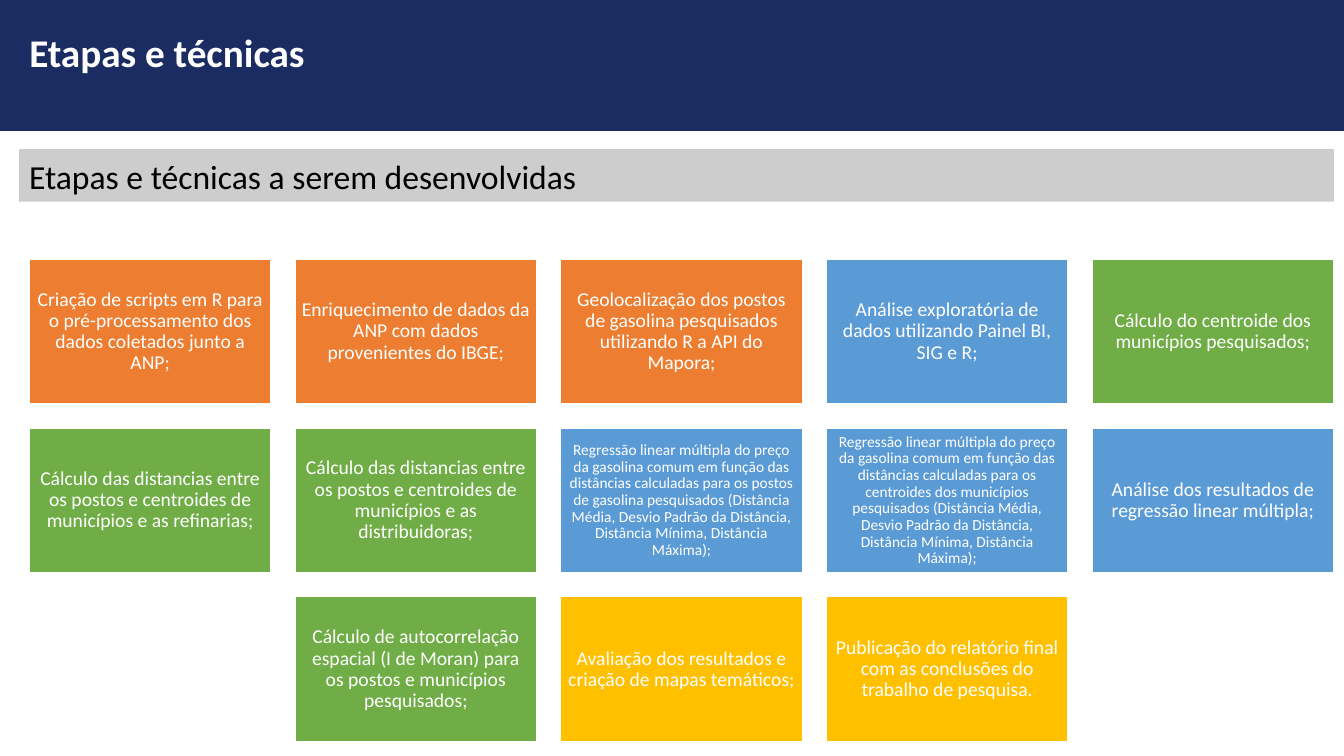
from pptx import Presentation
from pptx.dml.color import RGBColor
from pptx.enum.shapes import MSO_SHAPE
from pptx.enum.text import MSO_ANCHOR, PP_ALIGN
from pptx.util import Inches, Pt

RECT = MSO_SHAPE.RECTANGLE
TOP, MIDDLE = MSO_ANCHOR.TOP, MSO_ANCHOR.MIDDLE
LEFT, CENTER = PP_ALIGN.LEFT, PP_ALIGN.CENTER

NAVY = RGBColor(0x1B, 0x2C, 0x62)
GRAY = RGBColor(0xCD, 0xCD, 0xCD)
WHITE = RGBColor(0xFF, 0xFF, 0xFF)
BLACK = RGBColor(0x00, 0x00, 0x00)
ORANGE = RGBColor(0xED, 0x7D, 0x31)
BLUE = RGBColor(0x5B, 0x9B, 0xD5)
GREEN = RGBColor(0x70, 0xAD, 0x47)
GOLD = RGBColor(0xFF, 0xC0, 0x00)

FONT = "Calibri"
TITLE = "Etapas e técnicas"
SUBTITLE = "Etapas e técnicas a serem desenvolvidas"
STEPS = [
    ("Criação de scripts em R para o pré-processamento dos dados coletados junto a ANP;", ORANGE, 14),
    ("Enriquecimento de dados da ANP com dados provenientes do IBGE;", ORANGE, 14),
    ("Geolocalização dos postos de gasolina pesquisados utilizando R a API do Mapora;", ORANGE, 14),
    ("Análise exploratória de dados utilizando Painel BI, SIG e R;", BLUE, 14),
    ("Cálculo do centroide dos municípios pesquisados;", GREEN, 14),
    ("Cálculo das distancias entre os postos e centroides de municípios e as refinarias;", GREEN, 14),
    ("Cálculo das distancias entre os postos e centroides de municípios e as distribuidoras;", GREEN, 14),
    ("Regressão linear múltipla do preço da gasolina comum em função das distâncias calculadas "
     "para os postos de gasolina pesquisados (Distância Média, Desvio Padrão da Distância, "
     "Distância Mínima, Distância Máxima);", BLUE, 11),
    ("Regressão linear múltipla do preço da gasolina comum em função das distâncias calculadas "
     "para os centroides dos municípios pesquisados (Distância Média, Desvio Padrão da Distância, "
     "Distância Mínima, Distância Máxima);", BLUE, 11),
    ("Análise dos resultados de regressão linear múltipla;", BLUE, 14),
    ("Cálculo de autocorrelação espacial (I de Moran) para os postos e municípios pesquisados;", GREEN, 14),
    ("Avaliação dos resultados e criação de mapas temáticos;", GOLD, 14),
    ("Publicação do relatório final com as conclusões do trabalho de pesquisa.", GOLD, 14),
]

COLS = 5
GRID_LEFT, GRID_TOP, GRID_W = 0.29, 2.57, 12.94
BOX_W, BOX_H = 2.4, 1.44
GAP = (GRID_W - COLS * BOX_W) / (COLS - 1)


def add_rect(slide, x, y, w, h, fill):
    sp = slide.shapes.add_shape(RECT, Inches(x), Inches(y), Inches(w), Inches(h))
    sp.shadow.inherit = False
    sp.fill.solid()
    sp.fill.fore_color.rgb = fill
    sp.line.fill.background()
    return sp


def write(sp, text, size, color, align=LEFT, anchor=TOP, bold=False):
    tf = sp.text_frame
    tf.word_wrap = True
    tf.vertical_anchor = anchor
    tf.text = text
    p = tf.paragraphs[0]
    p.alignment = align
    font = p.runs[0].font
    font.name, font.size, font.bold = FONT, Pt(size), bold
    font.color.rgb = color
    return tf


def add_step(slide, x, y, text, fill, size):
    sp = add_rect(slide, x, y, BOX_W, BOX_H, fill)
    sp.line.color.rgb = WHITE
    sp.line.width = Pt(1)
    tf = write(sp, text, size, WHITE, CENTER, MIDDLE)
    inset = Inches(0.06 if size == 14 else 0.05)
    tf.margin_left = tf.margin_right = tf.margin_top = tf.margin_bottom = inset
    tf.paragraphs[0].line_spacing = 0.9


def main():
    prs = Presentation()
    prs.slide_width, prs.slide_height = Inches(13.33), Inches(7.5)
    slide = prs.slides.add_slide(prs.slide_layouts[5])

    title = slide.shapes.title
    title.left, title.top = Inches(0.19), Inches(0.23)
    title.width, title.height = Inches(11.61), Inches(0.57)
    write(title, TITLE, 28, WHITE, bold=True)
    header = add_rect(slide, 0, 0, 13.33, 1.3, NAVY)
    title._element.addprevious(header._element)

    subtitle = add_rect(slide, 0.19, 1.48, 13.04, 0.52, GRAY)
    tf = write(subtitle, SUBTITLE, 24, BLACK)
    tf.paragraphs[0].line_spacing = Pt(30)

    for start in range(0, len(STEPS), COLS):
        row = STEPS[start:start + COLS]
        row_w = len(row) * (BOX_W + GAP) - GAP
        x = GRID_LEFT + (GRID_W - row_w) / 2
        y = GRID_TOP + start // COLS * (BOX_H + GAP)
        for col, (text, fill, size) in enumerate(row):
            add_step(slide, x + col * (BOX_W + GAP), y, text, fill, size)

    prs.save("out.pptx")


if __name__ == "__main__":
    main()
